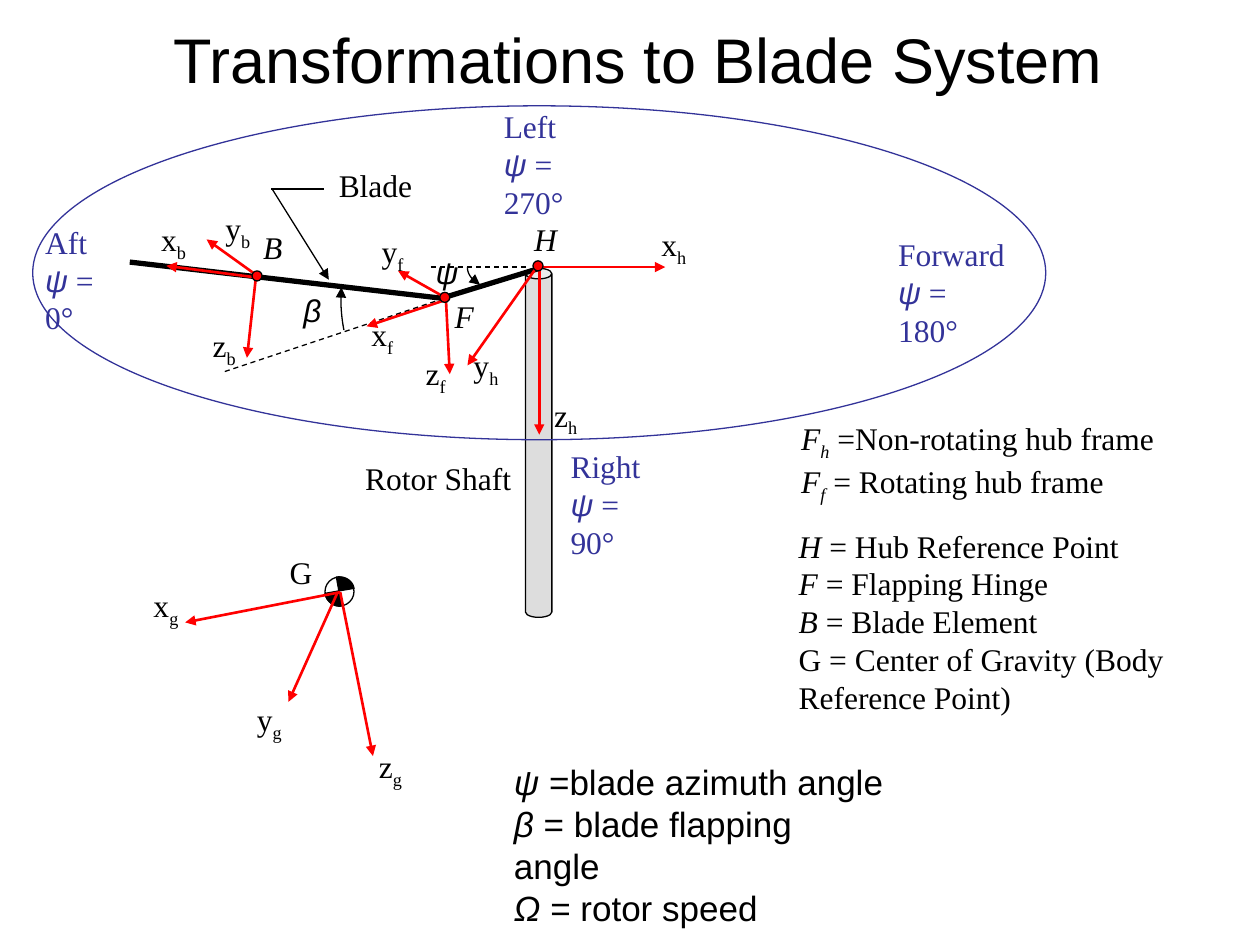
from lxml.etree import SubElement
from pptx import Presentation
from pptx.dml.color import RGBColor
from pptx.enum.dml import MSO_LINE
from pptx.enum.shapes import MSO_CONNECTOR, MSO_SHAPE
from pptx.enum.text import MSO_ANCHOR, MSO_AUTO_SIZE, PP_ALIGN
from pptx.oxml.ns import qn
from pptx.util import Inches, Pt

BLACK = RGBColor(0x00, 0x00, 0x00)
WHITE = RGBColor(0xFF, 0xFF, 0xFF)
RED = RGBColor(0xFF, 0x00, 0x00)
BLUE = RGBColor(0x33, 0x33, 0x99)
GREY = RGBColor(0xDD, 0xDD, 0xDD)
SERIF, SANS = "Times New Roman", "Arial"

TITLE = "Transformations to Blade System"
CENTER = (2.69, 4.69)
WEDGES = [
    [(2.67, 4.58), (2.74, 4.57), (2.8, 4.61), (2.81, 4.67)],
    [(2.58, 4.71), (2.59, 4.77), (2.65, 4.82), (2.71, 4.81)],
]
ANGLES = [
    [(3.81, 2.26), (3.74, 2.22), (3.71, 2.17), (3.71, 2.12)],
    [(2.71, 2.28), (2.7, 2.4), (2.71, 2.52), (2.73, 2.62)],
]
DASHES = [(4.27, 2.12, 1.78, 2.95), (3.42, 2.12, 4.2, 2.12)]
BLADES = [(4.28, 2.13, 3.53, 2.36), (3.53, 2.37, 1.03, 2.08)]
AXES = [
    (4.28, 2.12, 4.28, 3.45), (4.28, 2.12, 5.28, 2.12), (4.26, 2.12, 3.71, 2.9),
    (2.02, 2.2, 1.32, 2.11), (2.03, 2.21, 1.96, 2.84), (2.03, 2.18, 1.64, 1.9),
    (3.53, 2.36, 3.16, 2.15), (3.57, 2.37, 2.91, 2.59), (3.54, 2.39, 3.57, 2.97),
    (2.7, 4.7, 2.96, 6), (2.7, 4.7, 1.47, 4.94), (2.68, 4.7, 2.29, 5.57),
]
DOTS = [(3.49, 2.32), (2, 2.15), (4.23, 2.07)]

NAMES = [
    ("x", "h", 5.15, 1.74), ("z", "h", 4.3, 3.09), ("y", "h", 3.66, 2.7),
    ("x", "b", 1.18, 1.7), ("z", "b", 1.59, 2.54), ("y", "b", 1.69, 1.61),
    ("x", "g", 1.12, 4.6), ("z", "g", 2.91, 5.88), ("y", "g", 1.94, 5.51),
    ("x", "f", 2.85, 2.45), ("z", "f", 3.28, 2.76), ("y", "f", 2.93, 1.79),
]
MARKS = [
    ("ψ", "ia", 3.36, 1.96, 0.54), ("β", "ia", 2.31, 2.26, 0.34),
    ("H", "i", 4.14, 1.7, 0.38), ("F", "i", 3.51, 2.31, 0.35),
    ("B", "i", 1.99, 1.76, 0.35), ("G", "", 2.2, 4.34, 0.38),
    ("Rotor Shaft", "", 2.8, 3.59, 1.36), ("Blade", "", 2.59, 1.27, 0.78),
]
SIDES = [
    ("Forward", "180°", 7.03, 1.82, 1.1), ("Aft", "0°", 0.26, 1.72, 0.84),
    ("Left", "270°", 3.9, 0.8, 1.1), ("Right", "90°", 4.43, 3.5, 0.97),
]
POINTS = [
    [("H", "i"), (" = Hub Reference Point", "")],
    [("F", "i"), (" = Flapping Hinge", "")],
    [("B", "i"), (" = Blade Element", "")],
    [("G = Center of Gravity (Body Reference Point)", "")],
]
FRAMES = [
    [("F", "i"), ("h", "is"), (" =Non-rotating hub frame", "")],
    [("F", "i"), ("f", "is"), (" = Rotating hub frame", "")],
]
GREEK = [
    [("ψ", "ia"), (" =blade azimuth angle", "a")],
    [("β ", "ia"), ("= blade flapping angle", "a")],
    [("Ω", "ia"), (" = rotor speed", "a")],
]


def paint(shape, fill, edge=BLACK):
    shape.shadow.inherit = False
    if fill is None:
        shape.fill.background()
    else:
        shape.fill.solid()
        shape.fill.fore_color.rgb = fill
    shape.line.color.rgb = edge
    shape.line.width = Pt(0.75)
    return shape


def tip(shape, end):
    SubElement(shape.element.spPr.get_or_add_ln(), qn("a:" + end), type="triangle")


def add_form(shapes, kind, box, fill, edge=BLACK):
    return paint(shapes.add_shape(kind, *map(Inches, box)), fill, edge)


def add_line(shapes, ends, color=BLACK, width=0.75, dash=False, arrow=False):
    line = shapes.add_connector(MSO_CONNECTOR.STRAIGHT, *map(Inches, ends))
    line.line.color.rgb = color
    line.line.width = Pt(width)
    if dash:
        line.line.dash_style = MSO_LINE.DASH
    if arrow:
        tip(line, "tailEnd")
    SubElement(line.element.spPr, qn("a:effectLst"))


def add_curve(shapes, knots, hub=None, steps=12):
    dots = []
    for step in range(steps + 1):
        t = step / steps
        parts = ((1 - t) ** 3, 3 * t * (1 - t) ** 2, 3 * t * t * (1 - t), t ** 3)
        dots.append(tuple(Inches(sum(w * k[axis] for w, k in zip(parts, knots)))
                          for axis in (0, 1)))
    if hub:
        dots.append(tuple(map(Inches, hub)))
    pen = shapes.build_freeform(*dots[0])
    pen.add_line_segments(dots[1:], close=bool(hub))
    curve = paint(pen.convert_to_shape(), BLACK if hub else None)
    if not hub:
        tip(curve, "headEnd")


def add_text(shapes, rows, box, color=BLACK, size=18, wrap=False):
    frame = shapes.add_textbox(*map(Inches, box)).text_frame
    frame.word_wrap = wrap
    for place, row in enumerate(rows):
        para = frame.add_paragraph() if place else frame.paragraphs[0]
        for text, style in row:
            run = para.add_run()
            run.text = text
            font = run.font
            font.name = SANS if "a" in style else SERIF
            font.size = Pt(size)
            font.italic = "i" in style
            font.color.rgb = color
            if "s" in style:
                run._r.get_or_add_rPr().set("baseline", "-25000")


def add_title(slide):
    title = slide.shapes.title
    title.left, title.top, title.width, title.height = map(Inches, (0.73, 0, 8.67, 0.92))
    frame = title.text_frame
    frame.text = TITLE
    frame.auto_size = MSO_AUTO_SIZE.NONE
    frame.vertical_anchor = MSO_ANCHOR.MIDDLE
    para = frame.paragraphs[0]
    para.alignment = PP_ALIGN.CENTER
    font = para.runs[0].font
    font.name, font.size = SANS, Pt(36)
    font.color.rgb = BLACK


def main():
    """Build the slide of rotor blade axis systems."""
    deck = Presentation()
    deck.slide_width, deck.slide_height = Inches(10), Inches(7.5)
    slide = deck.slides.add_slide(deck.slide_layouts[5])
    shapes = slide.shapes
    add_title(slide)

    add_form(shapes, MSO_SHAPE.OVAL, (2.58, 4.58, 0.23, 0.23), WHITE)
    for wedge in WEDGES:
        add_curve(shapes, wedge, CENTER)
    for ends in DASHES:
        add_line(shapes, ends, dash=True)
    shaft = add_form(shapes, MSO_SHAPE.CAN, (4.17, 2.13, 0.21, 2.77), GREY)
    shaft.adjustments[0] = 0.4
    for ends in BLADES:
        add_line(shapes, ends, width=3)
    for angle in ANGLES:
        add_curve(shapes, angle)
    for ends in AXES:
        add_line(shapes, ends, RED, 1.5, arrow=True)
    for left, top in DOTS:
        add_form(shapes, MSO_SHAPE.OVAL, (left, top, 0.08, 0.08), RED)
    add_line(shapes, (2.16, 1.5, 2.61, 2.22), arrow=True)
    add_line(shapes, (2.57, 1.5, 2.15, 1.5))
    add_form(shapes, MSO_SHAPE.OVAL, (0.26, 0.84, 8.04, 2.65), None, BLUE)

    for axis, frame, left, top in NAMES:
        add_text(shapes, [[(axis, ""), (frame, "s")]], (left, top, 0.4, 0.4))
    for text, style, left, top, width in MARKS:
        add_text(shapes, [[(text, style)]], (left, top, width, 0.4))
    for side, angle, left, top, width in SIDES:
        rows = [[(side, "")], [("ψ", "ia"), (" = " + angle, "")]]
        add_text(shapes, rows, (left, top, width, 0.7), BLUE, wrap=True)
    add_text(shapes, POINTS, (6.24, 4.13, 3.25, 1.6), wrap=True)
    add_text(shapes, FRAMES, (6.26, 3.28, 3.25, 0.71), wrap=True)
    add_text(shapes, GREEK, (3.98, 5.99, 3.15, 1.1), size=20, wrap=True)
    deck.save("out.pptx")


if __name__ == "__main__":
    main()
